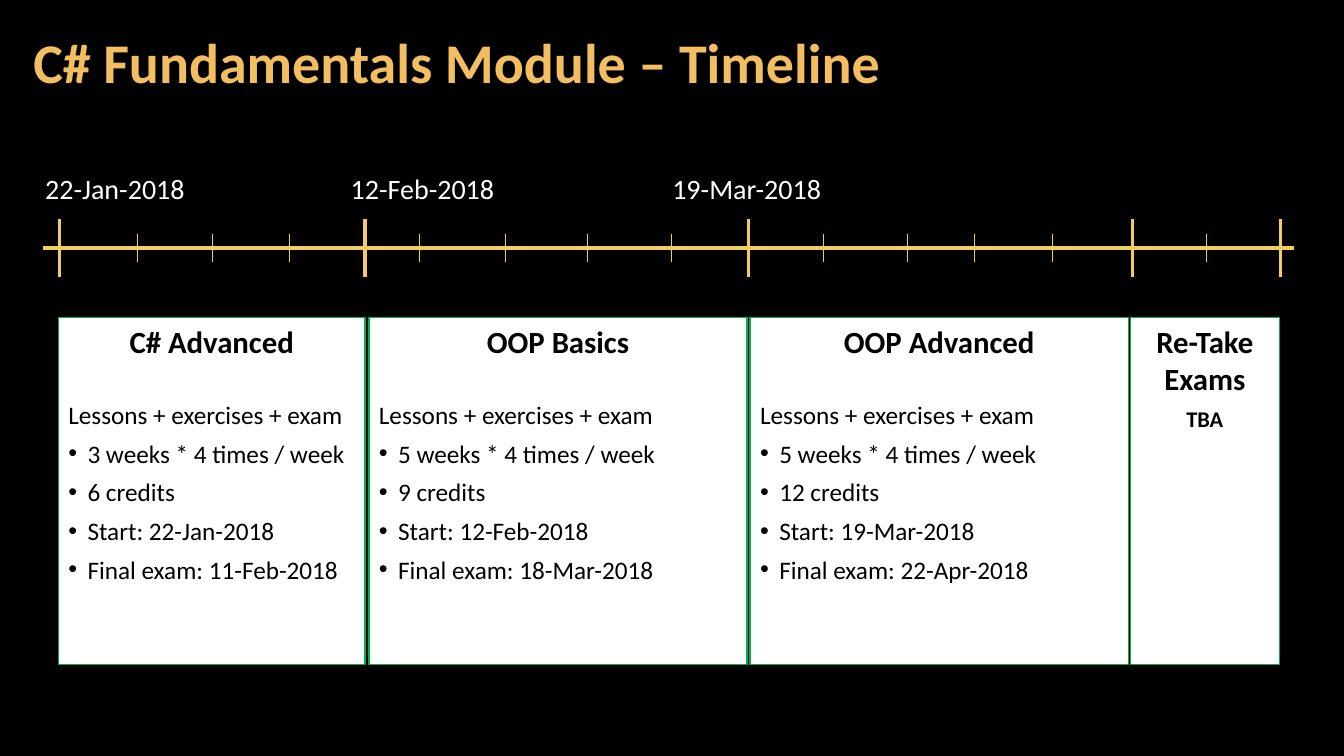
from lxml.etree import SubElement
from pptx import Presentation
from pptx.dml.color import RGBColor
from pptx.enum.shapes import MSO_CONNECTOR, MSO_SHAPE
from pptx.enum.text import MSO_ANCHOR, MSO_AUTO_SIZE, PP_ALIGN
from pptx.oxml.ns import qn
from pptx.util import Inches, Pt

BLACK = RGBColor(0x00, 0x00, 0x00)
WHITE = RGBColor(0xFF, 0xFF, 0xFF)
GREEN = RGBColor(0x00, 0xB0, 0x50)
ORANGE = RGBColor(0xF3, 0xBE, 0x60)
GOLD = RGBColor(0xF3, 0xCD, 0x60)
FONT = "Calibri"

TITLE = "C# Fundamentals Module – Timeline"
LESSONS = "Lessons + exercises + exam"
COURSES = [
    ("C# Advanced", 0.58, 3.04,
     ["3 weeks * 4 times / week", "6 credits", "Start: 22-Jan-2018", "Final exam: 11-Feb-2018"]),
    ("OOP Basics", 3.66, 3.75,
     ["5 weeks * 4 times / week", "9 credits", "Start: 12-Feb-2018", "Final exam: 18-Mar-2018"]),
    ("OOP Advanced", 7.44, 3.75,
     ["5 weeks * 4 times / week", "12 credits", "Start: 19-Mar-2018", "Final exam: 22-Apr-2018"]),
]
RETAKE = ("Re-Take Exams", 11.21, 1.48)
RETAKE_DATE = "TBA"
DATES = [("22-Jan-2018", 0.35, 1.6), ("12-Feb-2018", 3.38, 1.64), ("19-Mar-2018", 6.57, 1.7)]

AXIS_Y, AXIS_LEFT, AXIS_RIGHT = 2.46, 0.43, 12.83
MAJOR_TICKS = [0.59, 3.62, 7.42, 11.23, 12.7]
MINOR_TICKS = [1.36, 2.11, 2.87, 4.16, 5.01, 5.83, 6.66, 8.17, 9, 9.66, 10.44, 11.96]
TICKS = [(MAJOR_TICKS, 0.57, 2.25), (MINOR_TICKS, 0.28, 0.5)]
BOX_TOP, BOX_HEIGHT = 3.15, 3.44


def write(p, text, size, color, bold=False, align=PP_ALIGN.LEFT, before=0, after=0):
    p.text = text
    p.alignment = align
    p.space_before, p.space_after = Pt(before), Pt(after)
    font = p.runs[0].font
    font.name, font.size, font.bold = FONT, Pt(size), bold
    font.color.rgb = color


def add_bullet(p):
    pPr = p._p.get_or_add_pPr()
    pPr.set("marL", str(Inches(0.19)))
    pPr.set("indent", str(-Inches(0.19)))
    SubElement(pPr, qn("a:buFont"), typeface="Arial")
    SubElement(pPr, qn("a:buChar"), char="•")


def add_line(s, x1, y1, x2, y2, width):
    line = s.shapes.add_connector(
        MSO_CONNECTOR.STRAIGHT, Inches(x1), Inches(y1), Inches(x2), Inches(y2))
    line.line.color.rgb = GOLD
    line.line.width = Pt(width)
    SubElement(line._element.spPr, qn("a:effectLst"))


def add_box(s, heading, left, width):
    sp = s.shapes.add_shape(
        MSO_SHAPE.RECTANGLE, Inches(left), Inches(BOX_TOP), Inches(width), Inches(BOX_HEIGHT))
    sp.shadow.inherit = False
    sp.fill.solid()
    sp.fill.fore_color.rgb = WHITE
    sp.line.color.rgb = GREEN
    sp.line.width = Pt(1)
    tf = sp.text_frame
    tf.word_wrap = True
    tf.vertical_anchor = MSO_ANCHOR.TOP
    write(tf.paragraphs[0], heading, 22, BLACK, True, PP_ALIGN.CENTER, after=3)
    return tf


def add_title(s):
    title = s.shapes.title
    title.left, title.top = Inches(0.21), Inches(0.04)
    title.width, title.height = Inches(10.47), Inches(1.21)
    tf = title.text_frame
    tf.word_wrap = True
    tf.auto_size = MSO_AUTO_SIZE.NONE
    tf.vertical_anchor = MSO_ANCHOR.MIDDLE
    tf.margin_left = tf.margin_right = Inches(0.12)
    tf.margin_top = tf.margin_bottom = Inches(0.04)
    write(tf.paragraphs[0], TITLE, 40, ORANGE, True)
    tf.paragraphs[0].line_spacing = 0.9


def add_timeline(s):
    add_line(s, AXIS_LEFT, AXIS_Y, AXIS_RIGHT, AXIS_Y, 2.25)
    for positions, height, width in TICKS:
        for x in positions:
            add_line(s, x, AXIS_Y - height / 2, x, AXIS_Y + height / 2, width)
    for date, left, width in DATES:
        tb = s.shapes.add_textbox(Inches(left), Inches(1.65), Inches(width), Inches(0.44))
        tf = tb.text_frame
        tf.word_wrap = False
        tf.auto_size = MSO_AUTO_SIZE.SHAPE_TO_FIT_TEXT
        write(tf.paragraphs[0], date, 20, WHITE)


def add_courses(s):
    for heading, left, width, details in COURSES:
        tf = add_box(s, heading, left, width)
        write(tf.add_paragraph(), LESSONS, 18, BLACK, before=25.5)
        for detail in details:
            p = tf.add_paragraph()
            write(p, detail, 18, BLACK, before=6)
            add_bullet(p)
    tf = add_box(s, *RETAKE)
    write(tf.add_paragraph(), RETAKE_DATE, 16, BLACK, True, PP_ALIGN.CENTER, 3, 3)


def main():
    prs = Presentation()
    prs.slide_width, prs.slide_height = Inches(13.33), Inches(7.5)
    s = prs.slides.add_slide(prs.slide_layouts[5])
    s.background.fill.solid()
    s.background.fill.fore_color.rgb = BLACK
    add_title(s)
    add_timeline(s)
    add_courses(s)
    prs.save("out.pptx")


if __name__ == "__main__":
    main()
